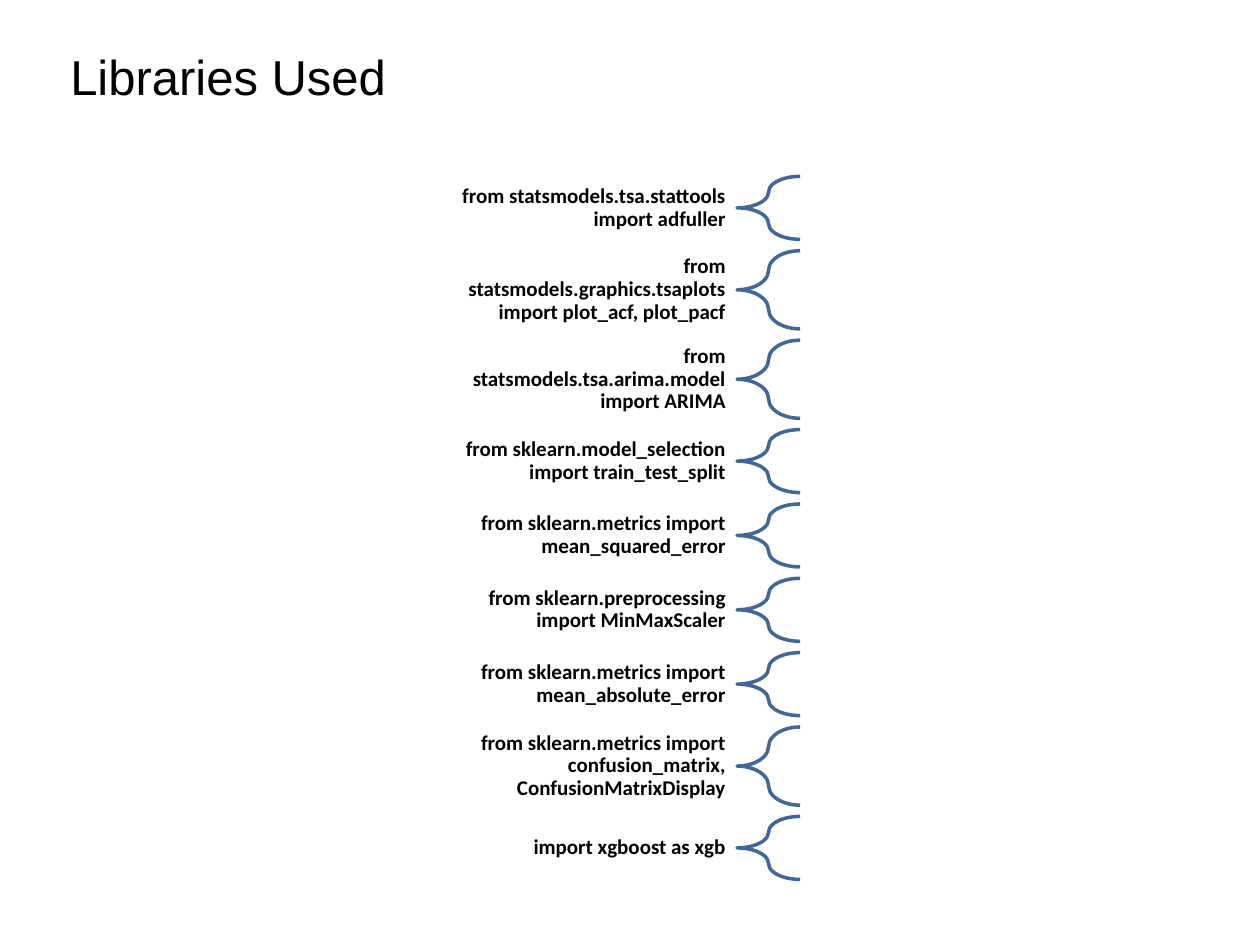
from pptx import Presentation
from pptx.dml.color import RGBColor
from pptx.enum.shapes import MSO_SHAPE
from pptx.enum.text import MSO_ANCHOR, PP_ALIGN
from pptx.util import Inches, Pt

BLACK = RGBColor(0x00, 0x00, 0x00)
BLUE = RGBColor(0x3F, 0x67, 0x97)
LEFT_BRACE = MSO_SHAPE.LEFT_BRACE
TOP, MIDDLE = MSO_ANCHOR.TOP, MSO_ANCHOR.MIDDLE
LEFT, RIGHT = PP_ALIGN.LEFT, PP_ALIGN.RIGHT

# Row heights for two and three lines of text, and the layout of the list
SHORT, TALL = 0.5, 0.62
LIST_TOP, ROW_GAP = 1.4, 0.09
LABEL_LEFT, LABEL_WIDTH, BRACE_WIDTH = 3.37, 2.48, 0.5

IMPORTS = [
    ("from statsmodels.tsa.stattools import adfuller", SHORT),
    ("from statsmodels.graphics.tsaplots import plot_acf, plot_pacf", TALL),
    ("from statsmodels.tsa.arima.model import ARIMA", TALL),
    ("from sklearn.model_selection import train_test_split", SHORT),
    ("from sklearn.metrics import mean_squared_error", SHORT),
    ("from sklearn.preprocessing import MinMaxScaler", SHORT),
    ("from sklearn.metrics import mean_absolute_error", SHORT),
    ("from sklearn.metrics import confusion_matrix, ConfusionMatrixDisplay", TALL),
    ("import xgboost as xgb", SHORT),
]


class SlideBuilder:
    title_font, title_size = "Arial", Pt(28)
    label_font, label_size = "Calibri", Pt(12)

    def __init__(self, slide):
        self.slide = slide

    def text(self, text, left, top, width, height, font, size, bold, align, anchor):
        box = self.slide.shapes.add_textbox(
            Inches(left), Inches(top), Inches(width), Inches(height))
        frame = box.text_frame
        frame.word_wrap = True
        frame.vertical_anchor = anchor
        paragraph = frame.paragraphs[0]
        paragraph.alignment = align
        run = paragraph.add_run()
        run.text = text
        run.font.name = font
        run.font.size = size
        run.font.bold = bold
        run.font.color.rgb = BLACK
        return box

    def title(self, text):
        self.text(text, 0.46, 0.32, 9, 0.76,
                  self.title_font, self.title_size, False, LEFT, TOP)

    def label(self, text, top, height):
        box = self.text(text, LABEL_LEFT, top, LABEL_WIDTH, height,
                        self.label_font, self.label_size, True, RIGHT, MIDDLE)
        frame = box.text_frame
        frame.margin_left = frame.margin_right = Inches(0.09)
        frame.margin_top = frame.margin_bottom = Inches(0.03)
        frame.paragraphs[0].line_spacing = 0.9

    def brace(self, top, height):
        shape = self.slide.shapes.add_shape(
            LEFT_BRACE, Inches(LABEL_LEFT + LABEL_WIDTH), Inches(top),
            Inches(BRACE_WIDTH), Inches(height))
        shape.adjustments[0] = 0.35
        shape.adjustments[1] = 0.5
        shape.shadow.inherit = False
        shape.fill.background()
        shape.line.color.rgb = BLUE
        shape.line.width = Pt(2)


def main():
    presentation = Presentation()
    presentation.slide_width = Inches(10)
    presentation.slide_height = Inches(7.5)
    builder = SlideBuilder(presentation.slides.add_slide(presentation.slide_layouts[6]))

    # Title
    builder.title("Libraries Used")

    # Import list, one brace per row
    top = LIST_TOP
    for statement, height in IMPORTS:
        builder.label(statement, top, height)
        builder.brace(top, height)
        top += height + ROW_GAP

    presentation.save("out.pptx")


if __name__ == "__main__":
    main()
